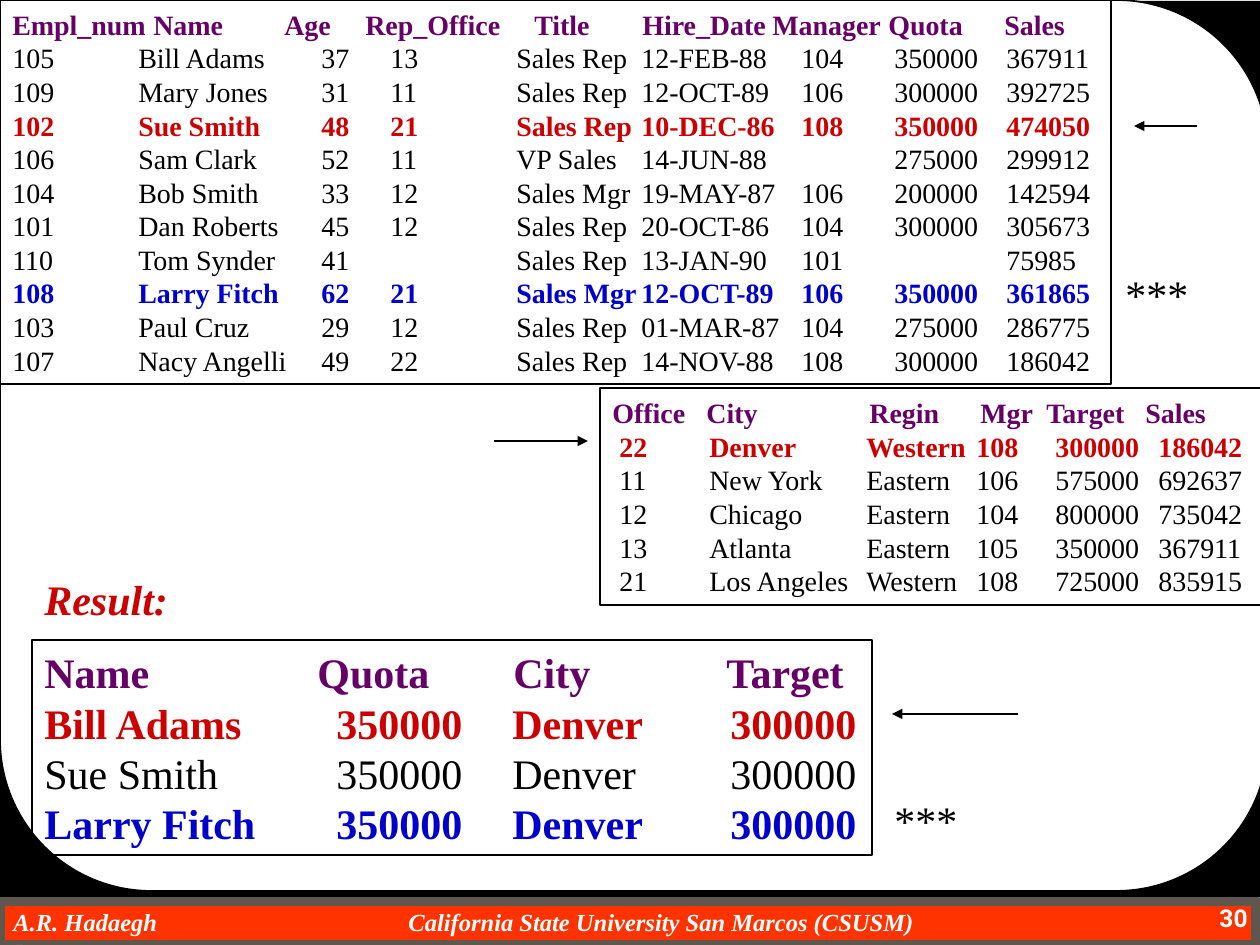
from lxml.etree import SubElement
from pptx import Presentation
from pptx.dml.color import RGBColor
from pptx.enum.shapes import MSO_CONNECTOR, MSO_SHAPE
from pptx.enum.text import PP_ALIGN
from pptx.oxml.ns import qn
from pptx.util import Inches, Pt

PX = Inches(1) / 126
THEME = {
    "white": RGBColor(0xFF, 0xFF, 0xFF), "black": RGBColor(0, 0, 0),
    "purple": RGBColor(0x66, 0x00, 0x66), "red": RGBColor(0xCC, 0x00, 0x00),
    "blue": RGBColor(0x00, 0x00, 0xCC), "bar": RGBColor(0xFF, 0x33, 0x00),
    "bar_edge": RGBColor(0x5E, 0x57, 0x4E),
    "serif": "Times New Roman", "sans": "Roboto",
    "small": 14, "body": 16, "large": 24,
}


def add_box(kind, box, fill=None, line=None, width=0.75):
    """Add a preset shape; box is left, top, width, height in px."""
    sp = s.shapes.add_shape(kind, *[round(v * PX) for v in box])
    sp.shadow.inherit = False
    if fill:
        sp.fill.solid()
        sp.fill.fore_color.rgb = THEME[fill]
    else:
        sp.fill.background()
    if line:
        sp.line.color.rgb = THEME[line]
        sp.line.width = Pt(width)
    else:
        sp.line.fill.background()
    return sp


def write_line(p, text, size, color, bold=False, italic=False, font="serif", stops=()):
    """Fill a paragraph; stops are tab positions in px from the text edge."""
    p.text = text
    p.alignment = PP_ALIGN.LEFT
    f = p.runs[0].font
    f.name, f.size, f.bold, f.italic = THEME[font], Pt(THEME[size]), bold, italic
    f.color.rgb = THEME[color]
    if stops:
        tabs = SubElement(p._p.get_or_add_pPr(), qn("a:tabLst"))
        for stop in stops:
            SubElement(tabs, qn("a:tab"), pos=str(round(stop * PX)), algn="l")


prs = Presentation()
prs.slide_width, prs.slide_height = Inches(10), Inches(7.5)
s = prs.slides.add_slide(prs.slide_layouts[6])

# Footer bar and rounded white panel on black
add_box(MSO_SHAPE.RECTANGLE, (0, 901, 1256, 44), "bar", "bar_edge", 6)
add_box(MSO_SHAPE.RECTANGLE, (0, 1, 1260, 896), "black")
panel = add_box(MSO_SHAPE.ROUNDED_RECTANGLE, (0, 0, 1268, 891), "white", "black", 1)
panel.adjustments[0] = 0.17

# Query tables: box, fill, text size, header stops, row stops, lines
EMPLOYEES = [
    "Empl_num\tName\tAge\tRep_Office\tTitle\tHire_Date\tManager\tQuota\tSales",
    "105\tBill Adams\t37\t13\tSales Rep\t12-FEB-88\t104\t350000\t367911",
    "109\tMary Jones\t31\t11\tSales Rep\t12-OCT-89\t106\t300000\t392725",
    "102\tSue Smith\t48\t21\tSales Rep\t10-DEC-86\t108\t350000\t474050",
    "106\tSam Clark\t52\t11\tVP Sales\t14-JUN-88\t\t275000\t299912",
    "104\tBob Smith\t33\t12\tSales Mgr\t19-MAY-87\t106\t200000\t142594",
    "101\tDan Roberts\t45\t12\tSales Rep\t20-OCT-86\t104\t300000\t305673",
    "110\tTom Synder\t41\t\tSales Rep\t13-JAN-90\t101\t\t75985",
    "108\tLarry Fitch\t62\t21\tSales Mgr\t12-OCT-89\t106\t350000\t361865",
    "103\tPaul Cruz\t29\t12\tSales Rep\t01-MAR-87\t104\t275000\t286775",
    "107\tNacy Angelli\t49\t22\tSales Rep\t14-NOV-88\t108\t300000\t186042",
]
OFFICES = [
    "Office\tCity\tRegin\tMgr\tTarget\tSales",
    " 22\tDenver\tWestern\t108\t300000\t186042",
    " 11\tNew York\tEastern\t106\t575000\t692637",
    " 12\tChicago\tEastern\t104\t800000\t735042",
    " 13\tAtlanta\tEastern\t105\t350000\t367911",
    " 21\tLos Angeles\tWestern\t108\t725000\t835915",
]
RESULT = [
    "Name\tQuota\tCity\tTarget",
    "Bill Adams\t350000\tDenver\t300000",
    "Sue Smith\t350000\tDenver\t300000",
    "Larry Fitch\t350000\tDenver\t300000",
]
TABLES = [
    ((0, 0, 1111, 384), "white", "body", (141, 272, 353, 522, 630, 760, 876, 992),
     (126, 309, 378, 504, 629, 789, 882, 994), EMPLOYEES, {0: "purple", 3: "red", 8: "blue"}),
    ((600, 388, 663, 217), "white", "body", (94, 257, 368, 434, 533),
     (97, 254, 364, 443, 546), OFFICES, {0: "purple", 1: "red"}),
    ((32, 640, 840, 215), None, "large", (273, 469, 682),
     (292, 468, 686), RESULT, {0: "purple", 1: "red", 3: "blue"}),
]
for box, fill, size, head_stops, row_stops, lines, marked in TABLES:
    tf = add_box(MSO_SHAPE.RECTANGLE, box, fill, "black").text_frame
    tf.word_wrap = True
    tf.margin_right = 0
    for i, line in enumerate(lines):
        p = tf.add_paragraph() if i else tf.paragraphs[0]
        write_line(p, line, size, marked.get(i, "black"), i in marked,
                   stops=row_stops if i else head_stops)

# Labels, footer text and page number
footer = "A.R. Hadaegh\tCalifornia State University San Marcos (CSUSM)\tPage"
LABELS = [
    ((32, 567, 149, 63), "Result:", "large", "red", True, True, "serif", ()),
    ((882, 788, 88, 63), "***", "large", "black", False, False, "serif", ()),
    ((1113, 262, 88, 63), "***", "large", "black", False, False, "serif", ()),
    ((1, 901, 1219, 36), footer, "small", "white", True, True, "serif", (395, 1145)),
    ((1166, 897, 94, 48), "30", "small", "white", True, False, "sans", ()),
]
for box, *style in LABELS:
    tf = s.shapes.add_textbox(*[round(v * PX) for v in box]).text_frame
    tf.word_wrap = True
    write_line(tf.paragraphs[0], *style)
tf.paragraphs[0].alignment = PP_ALIGN.RIGHT

# Arrows pointing at the matching rows
for x1, x2, y in [(1197, 1134, 126), (494, 588, 441), (1018, 892, 714)]:
    c = s.shapes.add_connector(MSO_CONNECTOR.STRAIGHT,
                               *[round(v * PX) for v in (x1, y, x2, y)])
    c.line.color.rgb = THEME["black"]
    c.line.width = Pt(0.75)
    SubElement(c.line._get_or_add_ln(), qn("a:tailEnd"), type="triangle")
    SubElement(c._element.spPr, qn("a:effectLst"))

prs.save("out.pptx")
